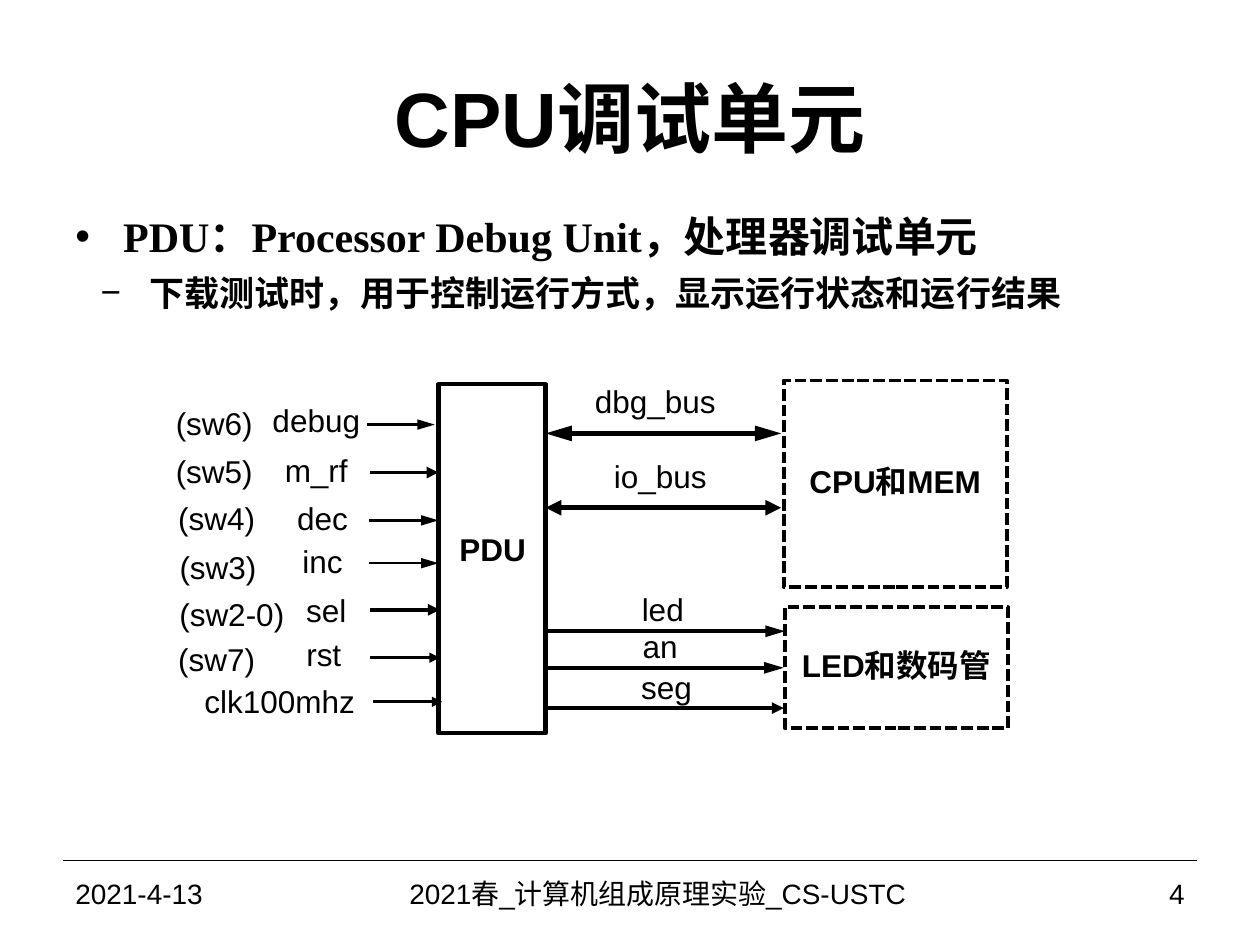
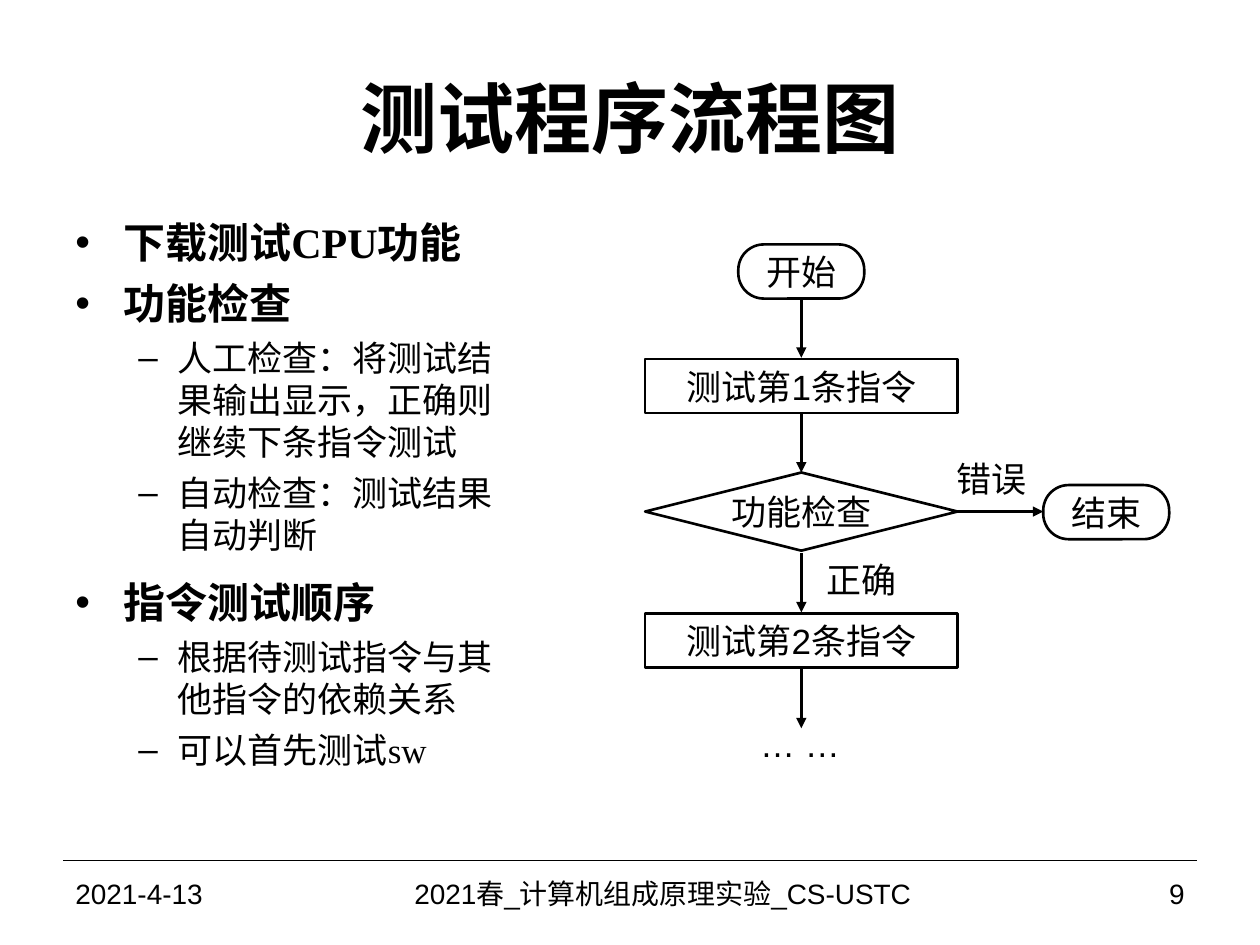
import pptx
import pptx.util
import pptx.dml.color
import pptx.enum.dml
import pptx.enum.shapes
import pptx.enum.text
import pptx.oxml
import pptx.oxml.ns

Pt = pptx.util.Pt
Kind = pptx.enum.shapes.MSO_SHAPE
Align = pptx.enum.text.PP_ALIGN
Anchor = pptx.enum.text.MSO_ANCHOR

SCALE = 9144  # EMU per px, 100 px to the inch
HEX = {"ink": "000000", "paper": "FFFFFF"}
INK = pptx.dml.color.RGBColor.from_string(HEX["ink"])
PAPER = pptx.dml.color.RGBColor.from_string(HEX["paper"])
SANS, SERIF = "Arial", "Times New Roman"

DATE = "2021-4-13"
COURSE = "2021春_计算机组成原理实验_CS-USTC "

# Outline styles: size, bold, bullet, left margin, hanging indent, space before
HEAD = (24, True, "•", 38, 38, 6)
PART = (24, True, "•", 38, 38, 12)
NOTE = (20, True, "−", 59, 39, 6)
ITEM = (20, False, "–", 81, 31, 5)

UNIT = {
    "title": "CPU调试单元",
    "page": "4",
    "split": 767,
    "body": (50, 162, 883, 521),
    "lines": [
        (HEAD, "PDU：Processor Debug Unit，处理器调试单元"),
        (NOTE, "下载测试时，用于控制运行方式，显示运行状态和运行结果"),
    ],
}
FLOW = {
    "title": "测试程序流程图",
    "page": "9",
    "split": 775,
    "body": (50, 167, 371, 503),
    "lines": [
        (HEAD, "下载测试CPU功能"),
        (HEAD, "功能检查"),
        (ITEM, "人工检查：将测试结果输出显示，正确则继续下条指令测试"),
        (ITEM, "自动检查：测试结果自动判断"),
        (PART, "指令测试顺序"),
        (ITEM, "根据待测试指令与其他指令的依赖关系"),
        (ITEM, "可以首先测试sw"),
    ],
}

# Text with its centre
SWITCHES = [
    ("(sw6)", 170, 336), ("(sw5)", 170, 374), ("(sw4)", 172, 411),
    ("(sw3)", 173, 450), ("(sw2-0)", 184, 487), ("(sw7)", 172, 523),
]
SIGNALS = [
    ("debug", 251, 333), ("m_rf", 251, 373), ("dec", 256, 411),
    ("inc", 256, 445), ("sel", 259, 484), ("rst", 257, 519),
    ("clk100mhz", 222, 556),
]
BUSES = [
    ("dbg_bus", 520, 318), ("io_bus", 524, 378), ("led", 526, 483),
    ("an", 524, 513), ("seg", 529, 545),
]
# Left, right, height, line width, long head, two-way
WIRES = [
    (291, 345, 337, 1.5, True, False),
    (294, 348, 375, 2.25, False, False),
    (293, 348, 413, 1.5, True, False),
    (293, 348, 447, 1.5, True, False),
    (294, 349, 484, 2.25, False, False),
    (294, 349, 522, 1.5, False, False),
    (296, 351, 557, 1.5, False, False),
    (433, 620, 344, 3, True, True),
    (433, 620, 403, 3, False, True),
    (435, 623, 501, 2.25, True, False),
    (435, 622, 530, 2.25, True, False),
    (433, 622, 562, 2.25, False, False),
]
BLOCKS = [
    ("CPU和MEM", (622, 302, 177, 164)),
    ("LED和数码管", (623, 482, 177, 96)),
]

AXIS = 636  # centre of the main flow
STEPS = [
    ("开始", Kind.ROUNDED_RECTANGLE, AXIS, 194, 100, 43),
    ("测试第1条指令", Kind.RECTANGLE, AXIS, 285, 248, 43),
    ("功能检查", Kind.DIAMOND, AXIS, 375, 248, 62),
    ("测试第2条指令", Kind.RECTANGLE, AXIS, 487, 248, 43),
    ("结束", Kind.ROUNDED_RECTANGLE, 878, 385, 100, 43),
]
DROP = 47
DROPS = [237, 328, 439, 531]
TAGS = [("错误", 787, 380), ("正确", 684, 460), ("… …", 635, 590)]


def px(*vals):
    return [round(v * SCALE) for v in vals]


def style(par, text, size, bold=False, face=SANS, align=Align.CENTER):
    par.text = text
    par.alignment = align
    font = par.font
    font.name, font.size, font.bold = face, Pt(size), bold
    font.color.rgb = INK


def pad(frame, x, y):
    frame.margin_left = frame.margin_right = px(x)[0]
    frame.margin_top = frame.margin_bottom = px(y)[0]


def write(slide, box, text, size, bold=False, align=Align.CENTER):
    frame = slide.shapes.add_textbox(*px(*box)).text_frame
    frame.word_wrap = True
    frame.vertical_anchor = Anchor.MIDDLE
    pad(frame, 10, 5)
    style(frame.paragraphs[0], text, size, bold, align=align)


def fill_in(shape, text, size, bold):
    """Centre one unwrapped line of text in a shape."""
    frame = shape.text_frame
    frame.word_wrap = False
    frame.vertical_anchor = Anchor.MIDDLE
    pad(frame, 0, 0)
    style(frame.paragraphs[0], text, size, bold)


def label(slide, text, x, y, size=18, bold=False):
    """Put text around a centre, in a box as wide as its length needs."""
    wide = len(text) * size * 1.5
    shape = slide.shapes.add_textbox(*px(x - wide / 2, y - 15, wide, 30))
    fill_in(shape, text, size, bold)


def block(slide, kind, box, width, text="", size=18, bold=False, dash=False):
    shape = slide.shapes.add_shape(kind, *px(*box))
    shape.shadow.inherit = False
    shape.fill.background()
    shape.line.color.rgb = INK
    shape.line.width = Pt(width)
    if kind == Kind.ROUNDED_RECTANGLE:
        shape.adjustments[0] = 0.47
    if text:
        fill_in(shape, text, size, bold)
    if dash:
        shape.line.dash_style = pptx.enum.dml.MSO_LINE.SQUARE_DOT
        shape.text_frame.paragraphs[0].line_spacing = Pt(size)


def add(node, tag, **attrs):
    child = pptx.oxml.parse_xml(f"<a:{tag} {pptx.oxml.ns.nsdecls('a')}/>")
    for key, val in attrs.items():
        child.set(key, val)
    node.append(child)
    return child


def wire(slide, ends, width, tips=(), long=False):
    """Draw a line; tips names the ends that carry arrowheads."""
    line = slide.shapes.add_connector(
        pptx.enum.shapes.MSO_CONNECTOR.STRAIGHT, *px(*ends))
    line.line.color.rgb = INK
    line.line.width = Pt(width)
    for tip in tips:
        add(line.line._get_or_add_ln(), tip, type="triangle", w="med",
            len="lg" if long else "med")
    add(line._element.spPr, "effectLst")


def outline(slide, box, lines):
    frame = slide.shapes.add_textbox(*px(*box)).text_frame
    frame.word_wrap = True
    pad(frame, 10, 5)
    for i, (look, text) in enumerate(lines):
        size, bold, mark, left, hang, gap = look
        par = frame.paragraphs[0] if i == 0 else frame.add_paragraph()
        par.level = 1 if look in (NOTE, ITEM) else 0
        par.line_spacing = Pt(size * 1.2)
        if i:
            par.space_before = Pt(gap)
        props = par._p.get_or_add_pPr()
        props.set("marL", str(px(left)[0]))
        props.set("indent", str(px(-hang)[0]))
        add(add(props, "buClr"), "srgbClr", val=HEX["ink"])
        add(props, "buFont", typeface=SANS)
        add(props, "buChar", char=mark)
        style(par, text, size, bold, SERIF, Align.LEFT)


def base(deck, page):
    """Start a slide with its title, outline and footer."""
    slide = deck.slides.add_slide(deck.slide_layouts[6])
    slide.background.fill.solid()
    slide.background.fill.fore_color.rgb = PAPER
    wire(slide, (50, 683, 950, 683), 0.75)
    write(slide, (50, 30, 900, 125), page["title"], 44, True)
    outline(slide, page["body"], page["lines"])
    stops = (50, 283, page["split"], 950)
    texts = (DATE, COURSE, page["page"])
    sides = (Align.LEFT, Align.CENTER, Align.RIGHT)
    for left, right, text, side in zip(stops, stops[1:], texts, sides):
        write(slide, (left, 683, right - left, 52), text, 16, align=side)
    return slide


def draw_unit(deck):
    slide = base(deck, UNIT)
    block(slide, Kind.RECTANGLE, (348, 305, 85, 277), 2.5)
    label(slide, "PDU", 391, 436, bold=True)
    for text, box in BLOCKS:
        block(slide, Kind.RECTANGLE, box, 2.25, text, bold=True, dash=True)
    for left, right, y, width, long, both in WIRES:
        tips = ("headEnd", "tailEnd") if both else ("tailEnd",)
        wire(slide, (left, y, right, y), width, tips, long)
    for text, x, y in SWITCHES + SIGNALS + BUSES:
        label(slide, text, x, y)


def draw_flow(deck):
    slide = base(deck, FLOW)
    for text, kind, mid, top, wide, high in STEPS:
        block(slide, kind, (mid - wide / 2, top, wide, high), 1.5, text, 20)
    runs = [(AXIS, y, AXIS, y + DROP) for y in DROPS]
    for ends in runs + [(760, 406, 828, 406)]:
        wire(slide, ends, 1.5, ("tailEnd",))
    for text, x, y in TAGS:
        label(slide, text, x, y, 20)


def main():
    deck = pptx.Presentation()
    deck.slide_width, deck.slide_height = px(1000, 750)
    draw_unit(deck)
    draw_flow(deck)
    deck.save("out.pptx")


if __name__ == "__main__":
    main()
